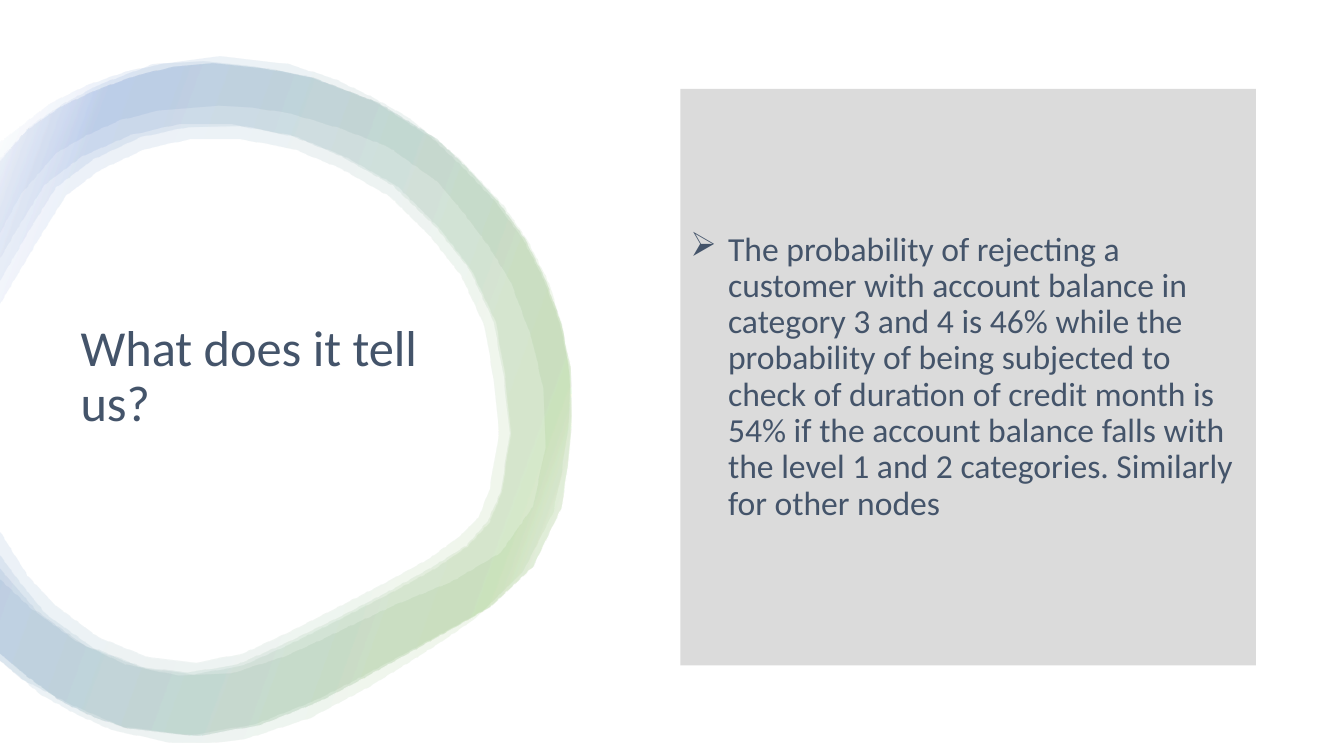
from dataclasses import dataclass
from math import dist
from typing import NamedTuple

from lxml.etree import SubElement
from pptx import Presentation
from pptx.dml.color import RGBColor as Rgb
from pptx.enum.shapes import MSO_SHAPE as Preset
from pptx.enum.text import MSO_ANCHOR as Anchor, PP_ALIGN as Align
from pptx.oxml.ns import qn
from pptx.util import Cm, Pt


@dataclass(frozen=True)
class Theme:
    """Colours, font and type sizes of the slide."""
    paper: str = "FFFFFF"
    panel: str = "DBDBDB"
    ink: str = "44546A"
    font: str = "Calibri"
    title_size: int = 36
    body_size: int = 24
    ring_stops: tuple = ((2, "FFFFFF"), (16, "70AD47"), (85, "4472C4"), (100, "FFFFFF"))
    ring_opacity: int = 10
    ring_angle: int = 160


class Box(NamedTuple):
    """A region of the slide."""
    left: int
    top: int
    width: int
    height: int


THEME = Theme()
RING_UNITS = 571
POINT_GAP = 48

HALO_OUTER = [
    (-2, 160), (33, 123), (96, 85), (151, 64), (218, 56), (284, 63), (331, 78), (404, 116),
    (455, 157), (499, 204), (544, 281), (565, 383), (548, 508), (518, 567), (470, 614),
    (366, 681), (308, 712), (243, 733), (171, 737), (111, 724), (41, 689), (-2, 653)]
HALO_INNER = [
    (-2, 572), (31, 603), (76, 636), (125, 659), (177, 670), (229, 668), (282, 651),
    (391, 600), (447, 577), (496, 548), (528, 502), (540, 444), (538, 385), (506, 280),
    (433, 180), (385, 146), (289, 113), (217, 105), (161, 109), (120, 119), (56, 152),
    (21, 193), (-2, 236)]
BAND_OUTER = [
    (-2, 143), (51, 102), (125, 71), (202, 61), (303, 75), (370, 100), (428, 137),
    (518, 237), (564, 364), (556, 504), (528, 562), (485, 602), (431, 632), (314, 694),
    (254, 718), (190, 729), (122, 721), (21, 673), (-2, 653)]
BAND_INNER = [
    (-2, 561), (37, 606), (84, 640), (138, 661), (186, 667), (235, 659), (342, 609),
    (427, 563), (462, 541), (483, 517), (496, 488), (505, 430), (489, 319), (465, 267),
    (389, 184), (287, 134), (230, 123), (178, 123), (130, 134), (82, 155), (45, 183),
    (20, 223), (-2, 261)]
CORE_OUTER = [
    (-2, 163), (27, 129), (62, 105), (135, 75), (211, 63), (310, 77), (375, 102),
    (433, 138), (520, 237), (565, 364), (556, 504), (528, 562), (486, 602), (433, 632),
    (318, 695), (258, 719), (196, 730), (129, 723), (60, 695), (-2, 646)]
CORE_WIDE_INNER = [
    (-2, 523), (28, 571), (55, 600), (98, 632), (148, 652), (195, 657), (241, 648),
    (339, 600), (425, 554), (455, 532), (474, 513), (485, 485), (494, 430), (480, 324),
    (457, 274), (386, 195), (291, 148), (238, 138), (189, 138), (144, 148), (99, 169),
    (66, 194), (42, 232), (-2, 306)]
CORE_SLIM_INNER = [
    (-2, 547), (46, 609), (92, 642), (145, 663), (192, 669), (241, 660), (345, 610),
    (431, 564), (463, 542), (485, 518), (497, 488), (506, 430), (491, 319), (467, 268),
    (394, 185), (294, 136), (238, 125), (187, 126), (140, 136), (93, 158), (56, 186),
    (31, 226), (-2, 283)]
RING_LAYERS = [(HALO_OUTER, HALO_INNER), (BAND_OUTER, BAND_INNER),
               (CORE_OUTER, CORE_WIDE_INNER), (CORE_OUTER, CORE_SLIM_INNER)]


def smooth_curve(knots):
    """Return evenly spaced points along a Catmull-Rom curve through the knots."""
    padded = [knots[0], *knots, knots[-1]]
    points = [knots[0]]
    for quad in zip(padded, padded[1:], padded[2:], padded[3:]):
        steps = max(1, round(dist(quad[1], quad[2]) / POINT_GAP))
        for step in range(1, steps + 1):
            t = step / steps
            points.append(tuple(
                b + t * (c - a) / 2 + t * t * (2 * a - 5 * b + 4 * c - d) / 2
                + t ** 3 * (3 * b - a - 3 * c + d) / 2
                for a, b, c, d in zip(*quad)))
    return points


def fill_ring(layer):
    """Give a ring layer its translucent gradient."""
    layer.shadow.inherit = False
    layer.line.fill.background()
    layer.fill.gradient()
    layer.fill.gradient_angle = THEME.ring_angle
    stops = next(layer.element.iter(qn("a:gsLst")))
    for stop in list(stops):
        stops.remove(stop)
    for position, color in THEME.ring_stops:
        stop = SubElement(stops, qn("a:gs"), pos=str(position * 1000))
        tint = SubElement(stop, qn("a:srgbClr"), val=color)
        SubElement(tint, qn("a:alpha"), val=str(THEME.ring_opacity * 1000))


def add_ring(slide, box):
    """Draw the overlapping ring layers, scaled to the box width."""
    unit = box.width / RING_UNITS
    for outer, inner in RING_LAYERS:
        outline = [(round(box.left + x * unit), round(box.top + y * unit))
                   for x, y in smooth_curve(outer) + smooth_curve(inner)]
        pen = slide.shapes.build_freeform(*outline[0])
        pen.add_line_segments(outline[1:], close=True)
        fill_ring(pen.convert_to_shape())


def add_panel(slide, box, color):
    """Add a plain filled rectangle."""
    panel = slide.shapes.add_shape(Preset.RECTANGLE, *box)
    panel.shadow.inherit = False
    panel.fill.solid()
    panel.fill.fore_color.rgb = Rgb.from_string(color)
    panel.line.fill.background()
    return panel


def write_text(holder, text, size):
    """Write one left-aligned paragraph, centred vertically."""
    frame = holder.text_frame
    frame.word_wrap = True
    frame.vertical_anchor = Anchor.MIDDLE
    paragraph = frame.paragraphs[0]
    paragraph.alignment = Align.LEFT
    paragraph.line_spacing = 0.9
    paragraph.space_after = Pt(6)
    run = paragraph.add_run()
    run.text = text
    run.font.name = THEME.font
    run.font.size = Pt(size)
    run.font.color.rgb = Rgb.from_string(THEME.ink)
    return paragraph


def add_title(slide, box, text):
    """Place the question inside the ring."""
    write_text(slide.shapes.add_textbox(*box), text, THEME.title_size)


def add_finding(slide, box, text):
    """Place the bulleted finding on its grey panel."""
    finding = write_text(add_panel(slide, box, THEME.panel), text, THEME.body_size)
    properties = finding._p.get_or_add_pPr()
    hang = Cm(0.95)
    properties.set("marL", str(hang))
    properties.set("indent", str(-hang))
    SubElement(properties, qn("a:buChar"), char="➢")


def main():
    """Build and save the slide."""
    deck = Presentation()
    deck.slide_width, deck.slide_height = Cm(33.87), Cm(19.05)
    slide = deck.slides.add_slide(deck.slide_layouts[6])
    add_panel(slide, Box(0, 0, deck.slide_width, deck.slide_height), THEME.paper)
    add_ring(slide, Box(0, 0, Cm(14.5), deck.slide_height))
    add_title(slide, Box(Cm(1.78), Cm(3.45), Cm(10.72), Cm(12.14)), "What does it tell us?")
    add_finding(
        slide, Box(Cm(17.15), Cm(2.24), Cm(14.5), Cm(14.53)),
        "The probability of rejecting a customer with account balance in category 3 and 4 "
        "is 46% while the probability of being subjected to check of duration of credit "
        "month is 54% if the account balance falls with the level 1 and 2 categories. "
        "Similarly for other nodes")
    deck.save("out.pptx")


if __name__ == "__main__":
    main()
